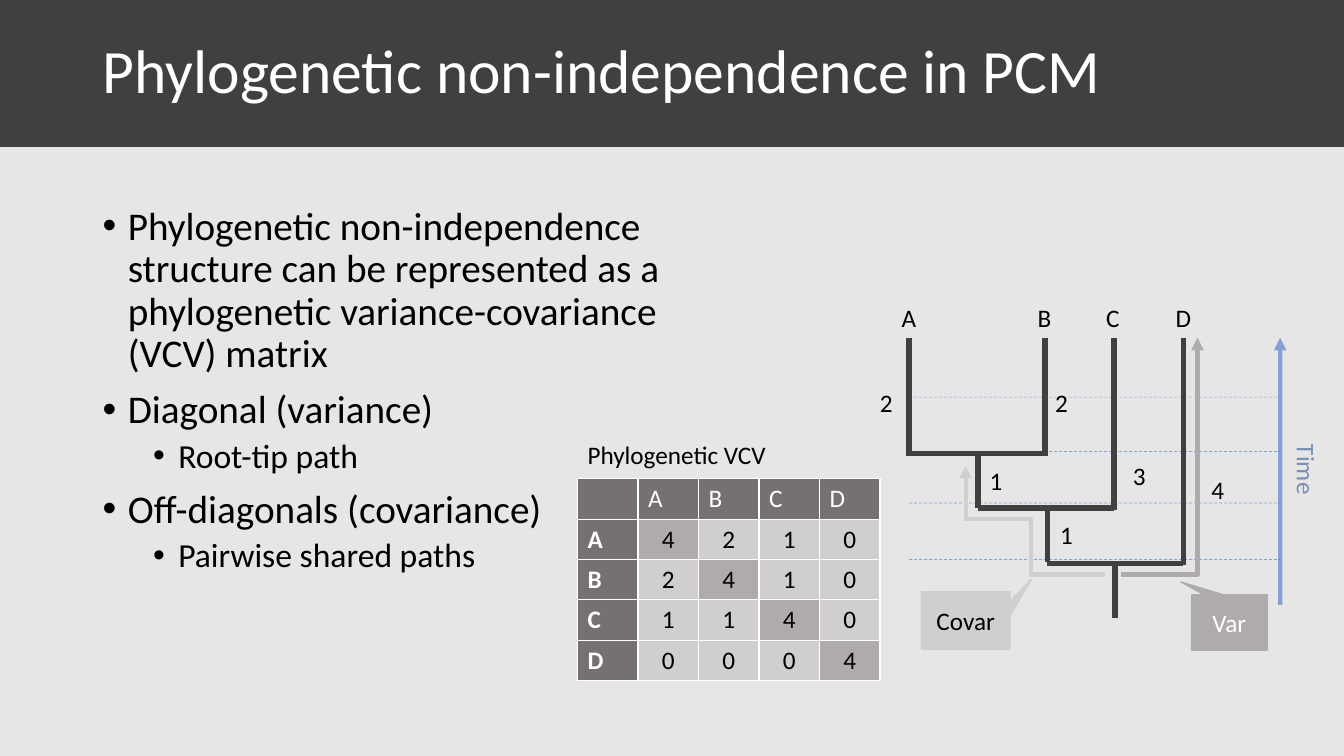
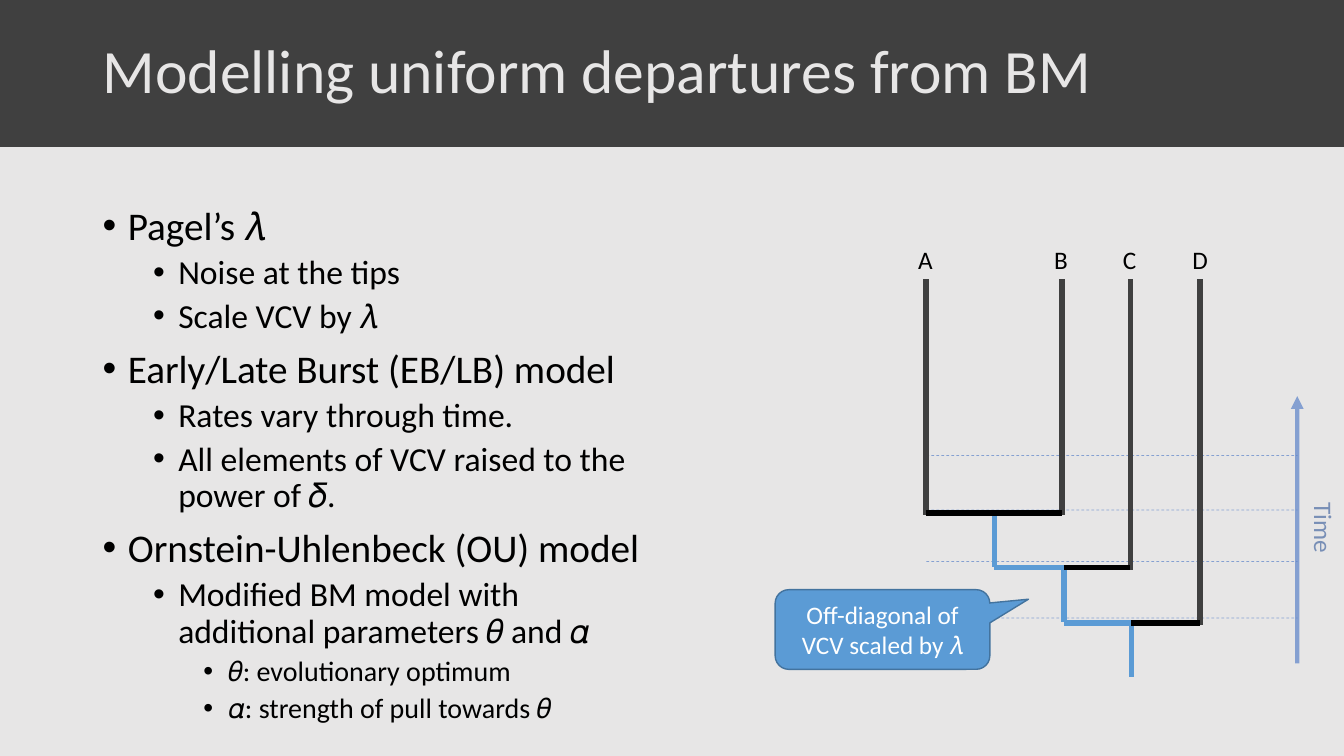
from lxml import etree
from pptx import Presentation
from pptx import util as u
from pptx.dml.color import RGBColor
from pptx.enum import dml, shapes, text
from pptx.oxml.ns import qn

COLORS = {
    "paper": "E7E6E6", "band": "404040", "white": "FFFFFF", "ink": "000000",
    "axis": "4472C4", "time": "2F5597", "shared": "5B9BD5", "edge": "43739E",
    "head": "767171", "variance": "AFABAB", "covariance": "D0CECE",
}
CELL = u.Inches(0.1)
COLS, ROWS = 133.33, 75
FONT = "Calibri"
LEVELS = [
    {"size": 28, "left": 0.25, "before": 10},
    {"size": 24, "left": 0.75, "before": 5},
    {"size": 20, "left": 1.25, "before": 5},
]
LABEL_FRAME = {"word_wrap": False, "auto_size": text.MSO_AUTO_SIZE.SHAPE_TO_FIT_TEXT}
MIDDLE_FRAME = {"word_wrap": True, "vertical_anchor": text.MSO_ANCHOR.MIDDLE}
CENTER = text.PP_ALIGN.CENTER

TIPS = {"A": 90.2, "B": 103.7, "C": 110.5, "D": 117.4}
AB, ABC, ROOT = 97, 103.9, 110.6
AB_ROW, ABC_ROW, ROOT_ROW = 45, 50.4, 55.9
TIP_ENDS = {"A": AB_ROW, "B": AB_ROW, "C": ABC_ROW, "D": ROOT_ROW}
STEMS = [(AB, AB_ROW), (ABC, ABC_ROW), (ROOT, ROOT_ROW)]
STEM_LENGTH = 5.4
TIME_COL = 127
TIME_LEVELS = [39.4, 44.8, 49.9, 55.5]


def cells(*lengths):
    return [round(length * CELL) for length in lengths]


def rgb(name):
    return RGBColor.from_string(COLORS[name])


def assign(target, values):
    for attribute, value in values.items():
        setattr(target, attribute, value)


def fade(element, percent):
    for color in element.iter(qn("a:srgbClr")):
        etree.SubElement(color, qn("a:alpha"), val=str(percent * 1000))


class Deck:
    def __init__(self):
        self.show = Presentation()
        assign(self.show, dict(zip(("slide_width", "slide_height"), cells(COLS, ROWS))))
        self.slide = None

    def new_slide(self, title, color):
        self.slide = self.show.slides.add_slide(self.show.slide_layouts[6])
        self.slide.background.fill.solid()
        self.slide.background.fill.fore_color.rgb = rgb("paper")
        self.block("RECTANGLE", (0, 0, COLS, 14.5), "band", "band")
        heading = self.slide.shapes.add_textbox(*cells(9.2, 0, 115, 14.5))
        assign(heading.text_frame, MIDDLE_FRAME)
        line = heading.text_frame.paragraphs[0]
        line.line_spacing = 0.9
        self.words(line, title, color, 44)

    def words(self, paragraph, content, color="ink", size=18, bold=False):
        run = paragraph.add_run()
        run.text = content
        assign(run.font, {"name": FONT, "size": u.Pt(size), "bold": bold})
        run.font.color.rgb = rgb(color)

    def bullets(self, height, items):
        frame = self.slide.shapes.add_textbox(*cells(9.2, 20, 57.5, height)).text_frame
        frame.word_wrap = True
        for index, (depth, content) in enumerate(items):
            style = LEVELS[depth]
            paragraph = frame.add_paragraph() if index else frame.paragraphs[0]
            properties = paragraph._p.get_or_add_pPr()
            properties.set("marL", str(u.Inches(style["left"])))
            properties.set("indent", str(-u.Inches(0.25)))
            etree.SubElement(properties, qn("a:buFont"), typeface="Arial")
            etree.SubElement(properties, qn("a:buChar"), char="•")
            assign(paragraph, {
                "line_spacing": 0.9,
                "space_before": u.Pt(style["before"] if index else 0),
            })
            self.words(paragraph, content, size=style["size"])

    def label(self, content, col, row, width=3.5, color="ink"):
        box = self.slide.shapes.add_textbox(*cells(col, row, width, 4))
        assign(box.text_frame, LABEL_FRAME)
        self.words(box.text_frame.paragraphs[0], content, color)
        return box

    def block(self, kind, place, fill, edge, content="", color="white", bends=()):
        shape = self.slide.shapes.add_shape(
            getattr(shapes.MSO_SHAPE, kind), *cells(*place))
        shape.shadow.inherit = False
        shape.fill.solid()
        shape.fill.fore_color.rgb = rgb(fill)
        self.stroke(shape, edge, 1)
        for index, bend in enumerate(bends):
            shape.adjustments[index] = bend
        if content:
            assign(shape.text_frame, MIDDLE_FRAME)
            paragraph = shape.text_frame.paragraphs[0]
            paragraph.alignment = CENTER
            self.words(paragraph, content, color)

    def stroke(self, shape, color, width, arrow=False):
        shape.line.color.rgb = rgb(color)
        shape.line.width = u.Pt(width)
        if arrow:
            outline = shape.element.spPr.find(qn("a:ln"))
            etree.SubElement(outline, qn("a:tailEnd"), type="triangle")

    def line(self, start, end, color="band", width=4, arrow=False, dashed=False, opacity=100):
        link = self.slide.shapes.add_connector(
            shapes.MSO_CONNECTOR.STRAIGHT, *cells(*start, *end))
        if dashed:
            link.line.dash_style = dml.MSO_LINE.DASH
        self.stroke(link, color, width, arrow)
        etree.SubElement(link.element.spPr, qn("a:effectLst"))
        if opacity < 100:
            fade(link.element, opacity)

    def route(self, points, color):
        start, *rest = [cells(*point) for point in points]
        builder = self.slide.shapes.build_freeform(*start)
        builder.add_line_segments(rest, close=False)
        trail = builder.convert_to_shape()
        trail.shadow.inherit = False
        trail.fill.background()
        self.stroke(trail, color, 3, arrow=True)

    def time_levels(self, right=0, down=0):
        for row in TIME_LEVELS:
            self.line((90.2 + right, row + down), (TIME_COL + right, row + down),
                      "axis", 0.5, dashed=True, opacity=60)

    def time_axis(self, right=0, down=0):
        col = TIME_COL + right
        self.line((col, 60 + down), (col, 33.5 + down), "axis", 3, arrow=True, opacity=60)
        caption = self.label("Time", col - 0.9, 44.6 + down, 7.1, "time")
        caption.rotation = 90
        fade(caption.element, 60)

    def phylogeny(self, bars, stem_color, tip_row, right=0, down=0):
        for name, col in TIPS.items():
            self.line((col + right, tip_row), (col + right, TIP_ENDS[name] + down + 0.2))
            self.label(name, col + right - 1.75, tip_row - 4)
        for col, row in STEMS:
            self.line((col + right, row + down),
                      (col + right, row + down + STEM_LENGTH), stem_color)
        for start, end, row, color in bars:
            self.line((start + right, row + down), (end + right, row + down), color)

    def matrix(self, col, row, names, values):
        count = len(names) + 1
        table = self.slide.shapes.add_table(
            count, count, *cells(col, row, 6 * count, 4 * count)).table
        grid = [["", *names], *([name, *line] for name, line in zip(names, values))]
        for r, line in enumerate(grid):
            for c, value in enumerate(line):
                cell = table.cell(r, c)
                heading = r == 0 or c == 0
                fill = "head" if heading else "variance" if r == c else "covariance"
                self.borders(cell)
                cell.fill.solid()
                cell.fill.fore_color.rgb = rgb(fill)
                paragraph = cell.text_frame.paragraphs[0]
                if not heading:
                    paragraph.alignment = CENTER
                self.words(paragraph, str(value), "white" if heading else "ink",
                           bold=c == 0)

    def borders(self, cell):
        properties = cell._tc.get_or_add_tcPr()
        for side in ("L", "R", "T", "B"):
            edge = etree.SubElement(properties, qn(f"a:ln{side}"), w=str(u.Pt(1)))
            paint = etree.SubElement(edge, qn("a:solidFill"))
            etree.SubElement(paint, qn("a:srgbClr"), val=COLORS["white"])


def covariance_slide(deck):
    deck.new_slide("Phylogenetic non-independence in PCM", "white")
    deck.time_levels()
    deck.bullets(47.6, [
        (0, "Phylogenetic non-independence structure can be represented as a "
            "phylogenetic variance-covariance (VCV) matrix"),
        (0, "Diagonal (variance)"),
        (1, "Root-tip path"),
        (0, "Off-diagonals (covariance)"),
        (1, "Pairwise shared paths"),
    ])
    deck.phylogeny([
        (TIPS["A"], TIPS["B"], AB_ROW, "band"),
        (AB, TIPS["C"], ABC_ROW, "band"),
        (ABC, TIPS["D"], ROOT_ROW, "band"),
    ], "band", 33.5)
    for length, col, row in [
        ("4", 119.2, 46.6), ("3", 111.4, 45.2), ("2", 103.7, 37.9),
        ("2", 86.3, 37.9), ("1", 97.2, 45.7), ("1", 104.2, 51),
    ]:
        deck.label(length, col, row, 3.3)
    deck.matrix(57.3, 47.5, "ABCD",
                [(4, 2, 1, 0), (2, 4, 1, 0), (1, 1, 4, 0), (0, 0, 0, 4)])
    deck.label("Phylogenetic VCV", 57.3, 43.1, 19.9)
    deck.route([(111.2, 57), (118.8, 57), (118.8, 33.5)], "variance")
    deck.route([(109.6, 57), (102.3, 57), (102.3, 51.5), (95.8, 51.5), (95.8, 46.2)],
               "covariance")
    deck.time_axis()
    deck.block("RECTANGULAR_CALLOUT", (118.2, 59, 7.5, 5.5), "variance", "variance",
               "Var", bends=(-0.64, -0.73))
    deck.block("RECTANGULAR_CALLOUT", (91.4, 58.7, 8.8, 5.7), "covariance", "covariance",
               "Covar", "ink", (0.74, -0.71))


def departures_slide(deck):
    deck.new_slide("Modelling uniform departures from BM", "paper")
    deck.time_levels(1.7, 5.8)
    deck.bullets(55, [
        (0, "Pagel’s 𝜆"),
        (1, "Noise at the tips"),
        (1, "Scale VCV by 𝜆"),
        (0, "Early/Late Burst (EB/LB) model"),
        (1, "Rates vary through time."),
        (1, "All elements of VCV raised to the power of 𝛿."),
        (0, "Ornstein-Uhlenbeck (OU) model"),
        (1, "Modified BM model with additional parameters 𝜃 and 𝛼"),
        (2, "𝜃: evolutionary optimum"),
        (2, "𝛼: strength of pull towards 𝜃"),
    ])
    deck.phylogeny([
        (AB, ABC, ABC_ROW, "shared"),
        (ABC, ROOT, ROOT_ROW, "shared"),
        (ABC, TIPS["C"], ABC_ROW, "ink"),
        (ROOT, TIPS["D"], ROOT_ROW, "ink"),
        (TIPS["A"], TIPS["B"], AB_ROW, "ink"),
    ], "shared", 27.7, 1.65, 5.9)
    deck.time_axis(1.7, 5.8)
    deck.block("ROUNDED_RECTANGULAR_CALLOUT", (76.9, 58.5, 21.3, 7.9), "shared", "edge",
               "Off-diagonal of VCV scaled by 𝜆", bends=(0.68, -0.38, 0.17))


def main():
    deck = Deck()
    covariance_slide(deck)
    departures_slide(deck)
    deck.show.save("out.pptx")


if __name__ == "__main__":
    main()
